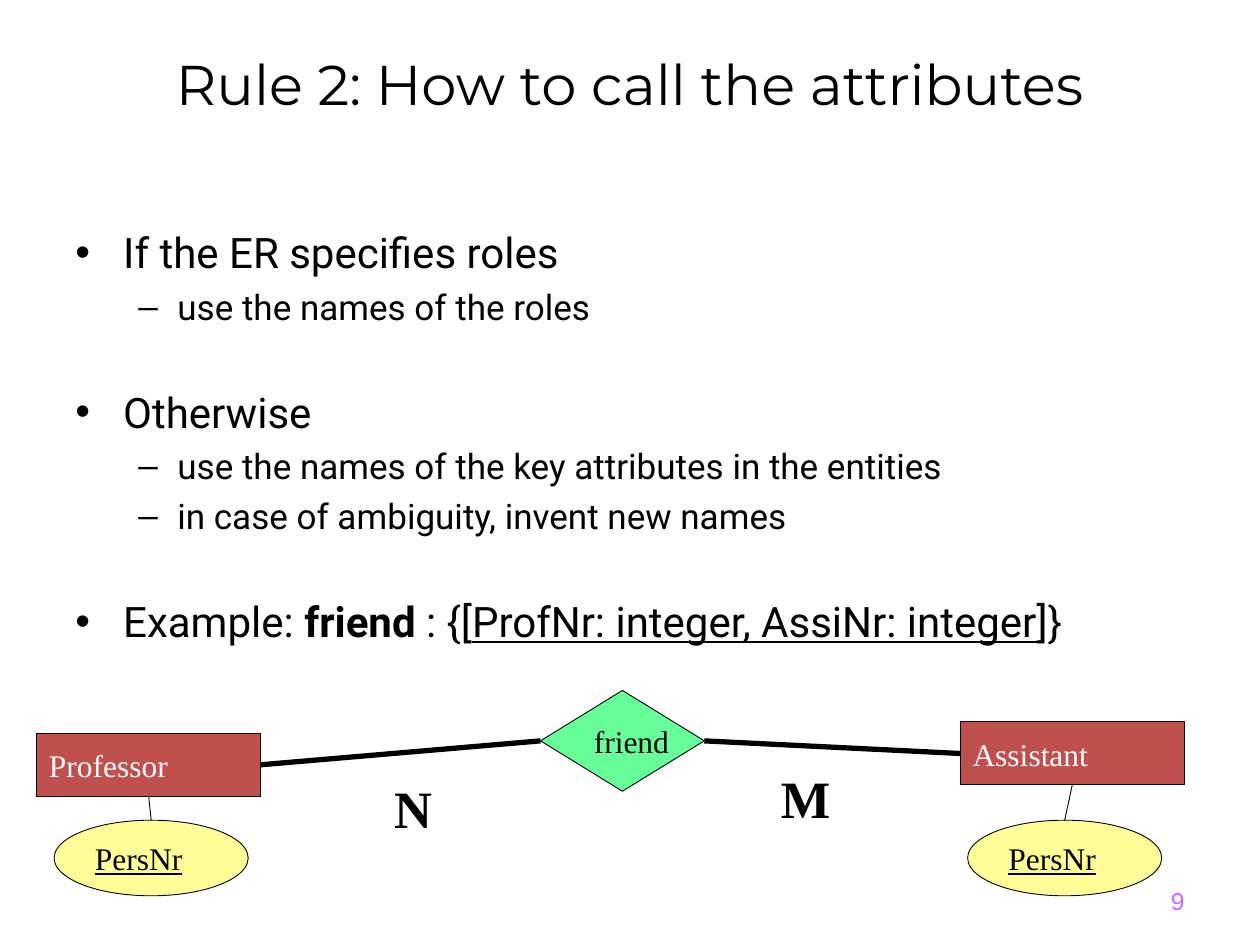
from pptx import Presentation
from pptx.dml.color import RGBColor
from pptx.enum.shapes import MSO_CONNECTOR, MSO_SHAPE
from pptx.enum.text import MSO_ANCHOR, PP_ALIGN
from pptx.oxml.ns import qn
from pptx.util import Inches, Pt
from lxml.etree import SubElement

HUES = {"ink": "000000", "paper": "FFFFFF", "entity": "C0504D",
        "relation": "66FF99", "key": "FFFF99", "page": "CC66FF"}
SERIF = "Times New Roman"

deck = Presentation()
deck.slide_width, deck.slide_height = Inches(10), Inches(7.5)
slide = deck.slides.add_slide(deck.slide_layouts[6])
shapes = slide.shapes


def write(para, text, size, face, hue="ink", **style):
    run = para.add_run()
    run.text = text
    look = {"size": Pt(size), "name": face, **style}
    for key, value in look.items():
        setattr(run.font, key, value)
    run.font.color.rgb = RGBColor.from_string(HUES[hue])


def label(box, wrap=True, anchor=MSO_ANCHOR.TOP, align=PP_ALIGN.LEFT):
    frame = box.text_frame
    frame.word_wrap = wrap
    frame.vertical_anchor = anchor
    para = frame.paragraphs[0]
    para.alignment = align
    return para


# Title
title = shapes.add_textbox(*map(Inches, (0.5, 0.3, 9, 1.25)))
title.text_frame.margin_top = Inches(0.09)
write(label(title, align=PP_ALIGN.CENTER),
      "Rule 2: How to call the attributes", 32, "Montserrat")

# Bullets: level, space before, runs
points = [
    (0, 4.8, [("If the ER specifies roles", {})]),
    (1, 4.7, [("use the names of the roles", {})]),
    (0, 33.5, [("Otherwise", {})]),
    (1, 4.7, [("use the names of the key attributes in the entities", {})]),
    (1, 4.7, [("in case of ambiguity, invent new names", {})]),
    (0, 33.5, [("Example: ", {}), ("friend", {"bold": True}), (" : {[", {}),
               ("ProfNr: integer, AssiNr: integer", {"underline": True}),
               ("]}", {})]),
]
levels = [(24, 0.38, -0.38, "•"), (20, 0.81, -0.31, "–")]
body = shapes.add_textbox(*map(Inches, (0.5, 1.75, 9, 4.95)))
para = label(body)
for row, (level, gap, runs) in enumerate(points):
    if row:
        para = body.text_frame.add_paragraph()
    size, left, hang, mark = levels[level]
    para.level = level
    para.space_before = Pt(gap)
    props = para._p.get_or_add_pPr()
    props.set("marL", str(Inches(left)))
    props.set("indent", str(Inches(hang)))
    SubElement(props, qn("a:buFont")).set("typeface", "Arial")
    SubElement(props, qn("a:buChar")).set("char", mark)
    for text, style in runs:
        write(para, text, size, "Roboto", **style)

# Diagram nodes
wide, high = 1.78, 0.5
oval = (1.54, 0.6)
nodes = [
    (MSO_SHAPE.RECTANGLE, (0.29, 5.82, wide, high), "entity", "Professor", "paper", {}),
    (MSO_SHAPE.RECTANGLE, (7.62, 5.73, wide, high), "entity", "Assistant", "paper", {}),
    (MSO_SHAPE.DIAMOND, (4.29, 5.48, 1.3, 0.8), "relation", "friend", "ink", {}),
    (MSO_SHAPE.OVAL, (0.43, 6.51, *oval), "key", "PersNr", "ink", {"underline": True}),
    (MSO_SHAPE.OVAL, (7.68, 6.51, *oval), "key", "PersNr", "ink", {"underline": True}),
]
for kind, area, fill, text, hue, style in nodes:
    node = shapes.add_shape(kind, *map(Inches, area))
    node.shadow.inherit = False
    node.fill.solid()
    node.fill.fore_color.rgb = RGBColor.from_string(HUES[fill])
    node.line.color.rgb = RGBColor.from_string(HUES["ink"])
    node.line.width = Pt(0.5)
    write(label(node, False, MSO_ANCHOR.MIDDLE), text, 18, SERIF, hue, **style)

# Links between nodes
links = [
    (2.07, 6.07, 4.29, 5.88, 3),
    (7.62, 5.98, 5.59, 5.88, 3),
    (8.51, 6.23, 8.45, 6.51, 0.5),
    (1.2, 6.51, 1.18, 6.32, 0.5),
]
for *ends, width in links:
    link = shapes.add_connector(MSO_CONNECTOR.STRAIGHT, *map(Inches, ends))
    link.line.color.rgb = RGBColor.from_string(HUES["ink"])
    link.line.width = Pt(width)
    SubElement(link._element.spPr, qn("a:effectLst"))

# Cardinalities
for text, left, top, width in [("N", 3.03, 6.11, 0.5), ("M", 6.1, 6.03, 0.6)]:
    card = shapes.add_textbox(*map(Inches, (left, top, width, 0.6)))
    write(label(card, False), text, 30, SERIF, bold=True)

# Page number
page = shapes.add_textbox(*map(Inches, (7.17, 6.95, 2.33, 0.4)))
write(label(page, anchor=MSO_ANCHOR.MIDDLE, align=PP_ALIGN.RIGHT),
      "9", 14, "Arial", "page")

deck.save("out.pptx")
